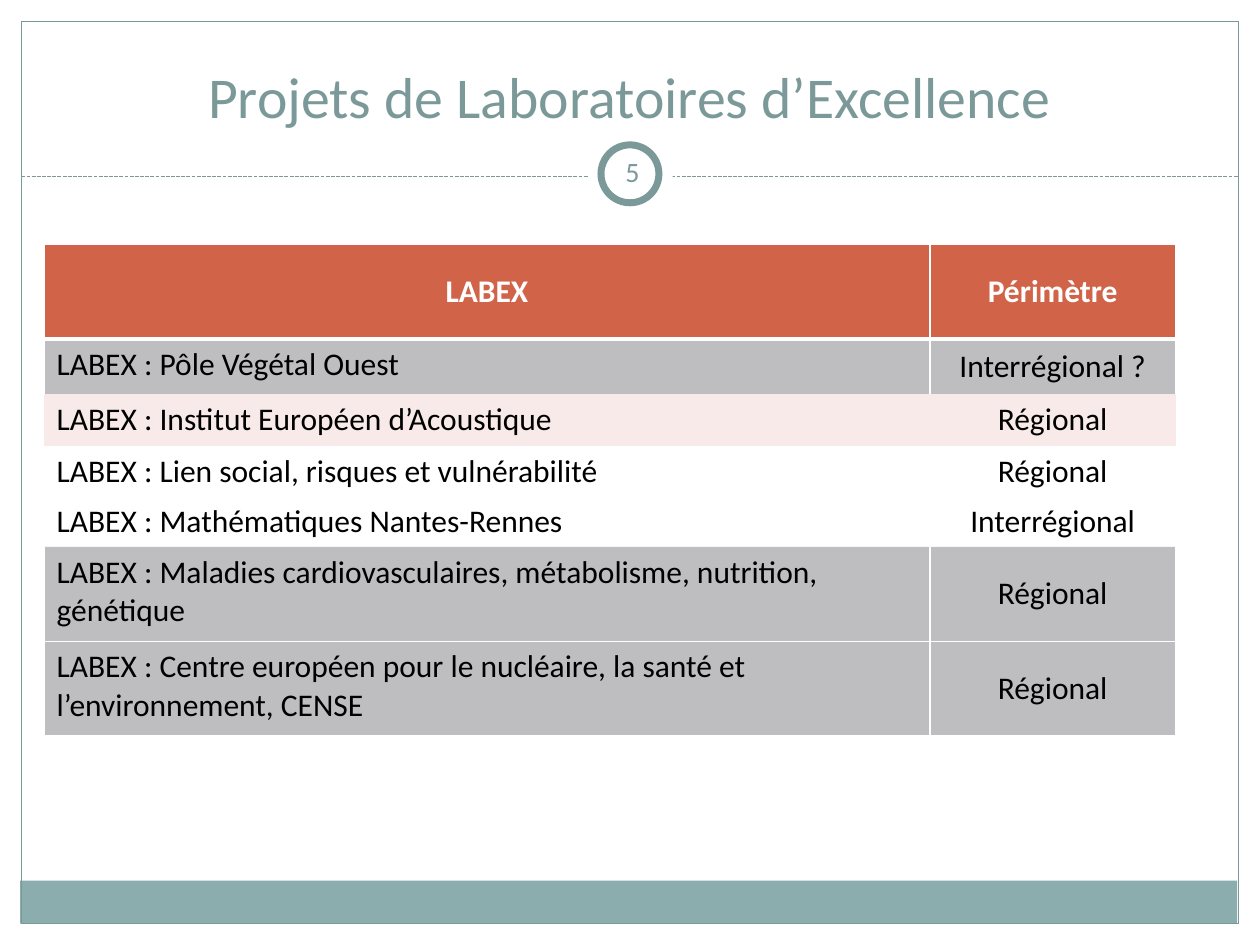
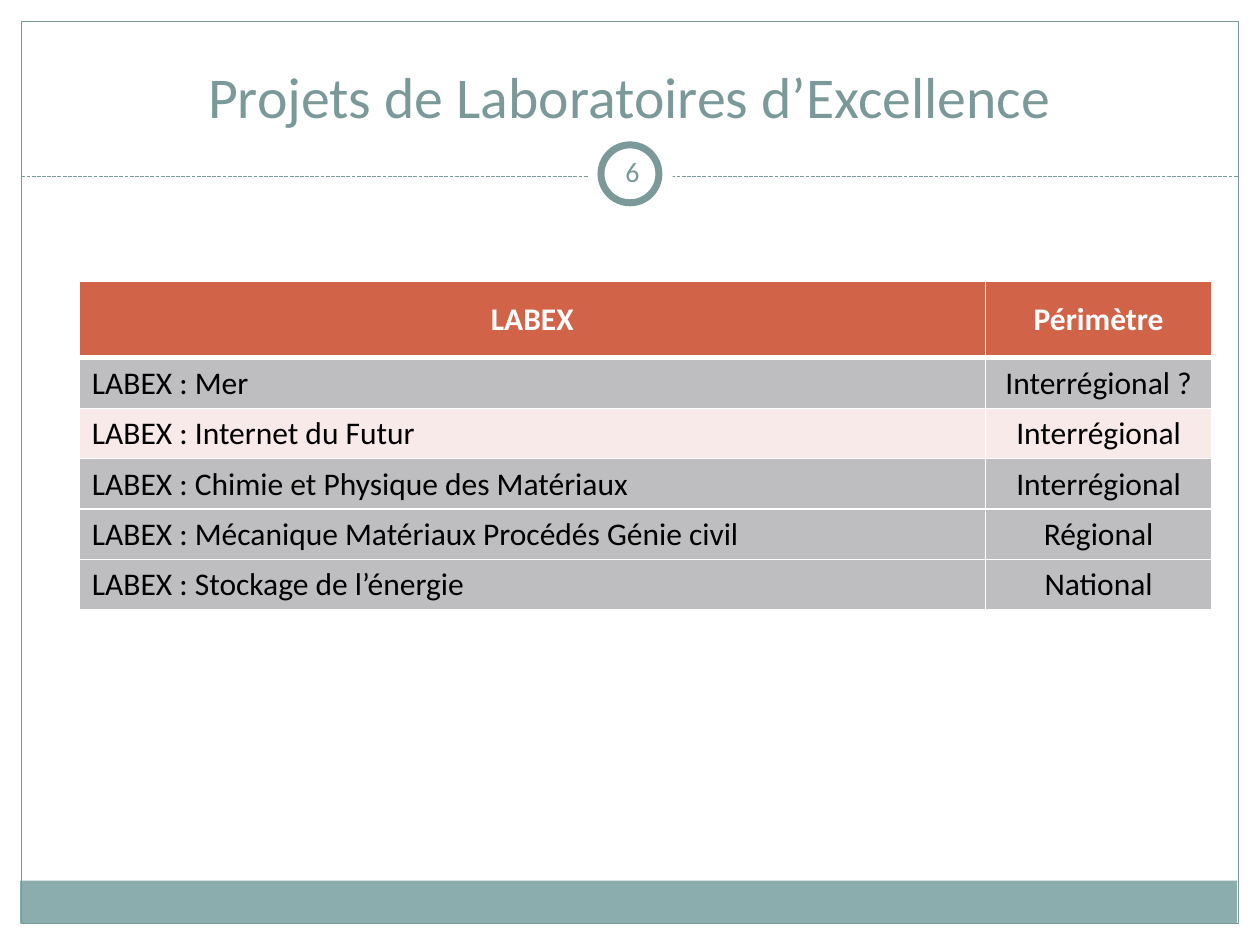
from dataclasses import dataclass
from typing import NamedTuple

import lxml.etree
import pptx
import pptx.dml.color
import pptx.enum.dml
import pptx.enum.shapes
import pptx.enum.text
import pptx.oxml.ns
import pptx.presentation
import pptx.slide
import pptx.table
import pptx.util

Inches = pptx.util.Inches
Pt = pptx.util.Pt
RGB = pptx.dml.color.RGBColor.from_string
qn = pptx.oxml.ns.qn
ALIGN = pptx.enum.text.PP_ALIGN
ANCHOR = pptx.enum.text.MSO_ANCHOR
SHAPE = pptx.enum.shapes.MSO_SHAPE


# Colours and type sizes
@dataclass(frozen=True)
class Theme:
    font: str = "Calibri"
    accent: str = "7C999A"
    band: str = "8CADAE"
    header: str = "D16349"
    grey: str = "7F7F83"
    pink: str = "F7EAE9"
    white: str = "FFFFFF"
    black: str = "000000"
    title_size: float = 33
    number_size: float = 16
    table_size: float = 18


THEME = Theme()
PLAIN_STYLE = "{2D5ABB26-0587-4C30-8999-92F81FD0307C}"  # no style, no grid
TITLE = "Projets de Laboratoires d’Excellence"
HEADINGS = ("LABEX", "Périmètre")


class Decor(NamedTuple):
    kind: SHAPE
    left: float
    top: float
    width: float
    height: float
    fill: str | None = None
    line: str | None = None
    weight: float = 0


class Project(NamedTuple):
    name: str
    scope: str
    height: float = 0.4
    fill: str | None = THEME.grey
    opacity: int = 50
    borders: str = "LRB"


class ProjectSlide(NamedTuple):
    number: int
    left: float
    top: float
    columns: tuple[float, float]
    header_height: float
    projects: list[Project]


# Parts every slide shares: the ring interrupts the dashed rule
FRAME = [
    Decor(SHAPE.RECTANGLE, 0.16, 6.99, 9.66, 0.34, fill=THEME.band),
    Decor(SHAPE.RECTANGLE, 0.17, 0.17, 9.66, 7.16, line=THEME.accent, weight=0.75),
]
RING = [
    Decor(SHAPE.OVAL, 4.67, 1.05, 0.67, 0.67, fill=THEME.white),
    Decor(SHAPE.OVAL, 4.77, 1.15, 0.46, 0.46, THEME.white, THEME.accent, 4),
]

SLIDES = [
    ProjectSlide(5, 0.35, 1.94, (7.03, 1.95), 0.75, [
        Project("LABEX : Pôle Végétal Ouest", "Interrégional ?", 0.44, borders="LR"),
        Project("LABEX : Institut Européen d’Acoustique", "Régional", 0.41,
                THEME.pink, 100, ""),
        Project("LABEX : Lien social, risques et vulnérabilité", "Régional",
                fill=None, borders=""),
        Project("LABEX : Mathématiques Nantes-Rennes", "Interrégional",
                fill=None, borders=""),
        Project("LABEX : Maladies cardiovasculaires, métabolisme, nutrition, génétique",
                "Régional", 0.75),
        Project("LABEX : Centre européen pour le nucléaire, la santé et "
                "l’environnement, CENSE", "Régional", 0.75),
    ]),
    ProjectSlide(6, 0.63, 2.23, (7.19, 1.8), 0.61, [
        Project("LABEX : Mer", "Interrégional ?"),
        Project("LABEX : Internet du Futur", "Interrégional",
                fill=THEME.pink, opacity=100),
        Project("LABEX : Chimie et Physique des Matériaux", "Interrégional"),
        Project("LABEX : Mécanique Matériaux Procédés Génie civil", "Régional"),
        Project("LABEX : Stockage de l’énergie", "National"),
    ]),
]


def write(tf, text: str, size: float, color: str,
          align: ALIGN = ALIGN.CENTER, bold: bool = False) -> None:
    tf.text = text
    p = tf.paragraphs[0]
    p.alignment = align
    p.font.name = THEME.font
    p.font.size = Pt(size)
    p.font.bold = bold
    p.font.color.rgb = RGB(color)


def add_decor(s: pptx.slide.Slide, decor: Decor) -> None:
    sp = s.shapes.add_shape(decor.kind, Inches(decor.left), Inches(decor.top),
                            Inches(decor.width), Inches(decor.height))
    sp.shadow.inherit = False
    if decor.fill:
        sp.fill.solid()
        sp.fill.fore_color.rgb = RGB(decor.fill)
    else:
        sp.fill.background()
    if decor.line:
        sp.line.color.rgb = RGB(decor.line)
        sp.line.width = Pt(decor.weight)
    else:
        sp.line.fill.background()


def add_rule(s: pptx.slide.Slide) -> None:
    rule = s.shapes.add_connector(pptx.enum.shapes.MSO_CONNECTOR.STRAIGHT,
                                  Inches(0.17), Inches(1.4), Inches(9.83), Inches(1.4))
    rule.line.color.rgb = RGB(THEME.accent)
    rule.line.width = Pt(0.75)
    rule.line.dash_style = pptx.enum.dml.MSO_LINE.SQUARE_DOT
    properties = rule._element.find(qn("p:spPr"))
    lxml.etree.SubElement(properties, qn("a:effectLst"))


def add_title(s: pptx.slide.Slide) -> None:
    title = s.shapes.title
    title.left, title.top = Inches(0.33), Inches(0.25)
    title.width, title.height = Inches(9.33), Inches(0.83)
    tf = title.text_frame
    tf.auto_size = pptx.enum.text.MSO_AUTO_SIZE.NONE
    tf.vertical_anchor = ANCHOR.BOTTOM
    write(tf, TITLE, THEME.title_size, THEME.accent)


def add_number(s: pptx.slide.Slide, number: int) -> None:
    sp = s.shapes.add_textbox(Inches(4.77), Inches(1.12), Inches(0.5), Inches(0.48))
    tf = sp.text_frame
    tf.word_wrap = True
    tf.vertical_anchor = ANCHOR.MIDDLE
    tf.margin_left = tf.margin_right = tf.margin_top = tf.margin_bottom = Inches(0.05)
    write(tf, str(number), THEME.number_size, THEME.accent)


def style_cell(cell: pptx.table._Cell, fill: str | None, opacity: int,
               borders: dict[str, float]) -> None:
    """Fill a cell and give it white borders, as widths by side."""
    properties = cell._tc.get_or_add_tcPr()
    if fill:
        cell.fill.solid()
        cell.fill.fore_color.rgb = RGB(fill)
        if opacity < 100:
            color = properties.find(".//" + qn("a:srgbClr"))
            lxml.etree.SubElement(color, qn("a:alpha"), val=str(opacity * 1000))
    else:
        cell.fill.background()
    # Borders come before the fill, in the order L, R, T, B
    for i, (side, width) in enumerate(borders.items()):
        ln = lxml.etree.Element(qn(f"a:ln{side}"), w=str(Pt(width)))
        solid = lxml.etree.SubElement(ln, qn("a:solidFill"))
        lxml.etree.SubElement(solid, qn("a:srgbClr"), val=THEME.white)
        properties.insert(i, ln)


def add_project_table(s: pptx.slide.Slide, page: ProjectSlide) -> None:
    heights = [page.header_height] + [project.height for project in page.projects]
    table = s.shapes.add_table(len(heights), len(page.columns),
                               Inches(page.left), Inches(page.top),
                               Inches(sum(page.columns)), Inches(sum(heights))).table
    table.horz_banding = False
    table._tbl.tblPr.find(qn("a:tableStyleId")).text = PLAIN_STYLE
    for column, width in zip(table.columns, page.columns):
        column.width = Inches(width)
    for row, height in zip(table.rows, heights):
        row.height = Inches(height)

    # Header row
    for cell, heading in zip(table.rows[0].cells, HEADINGS):
        cell.vertical_anchor = ANCHOR.MIDDLE
        write(cell.text_frame, heading, THEME.table_size, THEME.white, bold=True)
        style_cell(cell, THEME.header, 100, {"L": 1, "R": 1, "T": 1, "B": 3})

    # One row per project
    for i, project in enumerate(page.projects, start=1):
        name, scope = table.cell(i, 0), table.cell(i, 1)
        write(name.text_frame, project.name, THEME.table_size, THEME.black, ALIGN.LEFT)
        write(scope.text_frame, project.scope, THEME.table_size, THEME.black)
        scope.vertical_anchor = ANCHOR.MIDDLE
        for cell in (name, scope):
            style_cell(cell, project.fill, project.opacity,
                       dict.fromkeys(project.borders, 1))


def add_project_slide(prs: pptx.presentation.Presentation, page: ProjectSlide) -> None:
    s = prs.slides.add_slide(prs.slide_layouts.get_by_name("Title Only"))
    for decor in FRAME:
        add_decor(s, decor)
    add_rule(s)
    for decor in RING:
        add_decor(s, decor)
    add_title(s)
    add_number(s, page.number)
    add_project_table(s, page)


def main() -> None:
    prs = pptx.Presentation()
    prs.slide_width, prs.slide_height = Inches(10), Inches(7.5)
    for page in SLIDES:
        add_project_slide(prs, page)
    prs.save("out.pptx")


if __name__ == "__main__":
    main()
